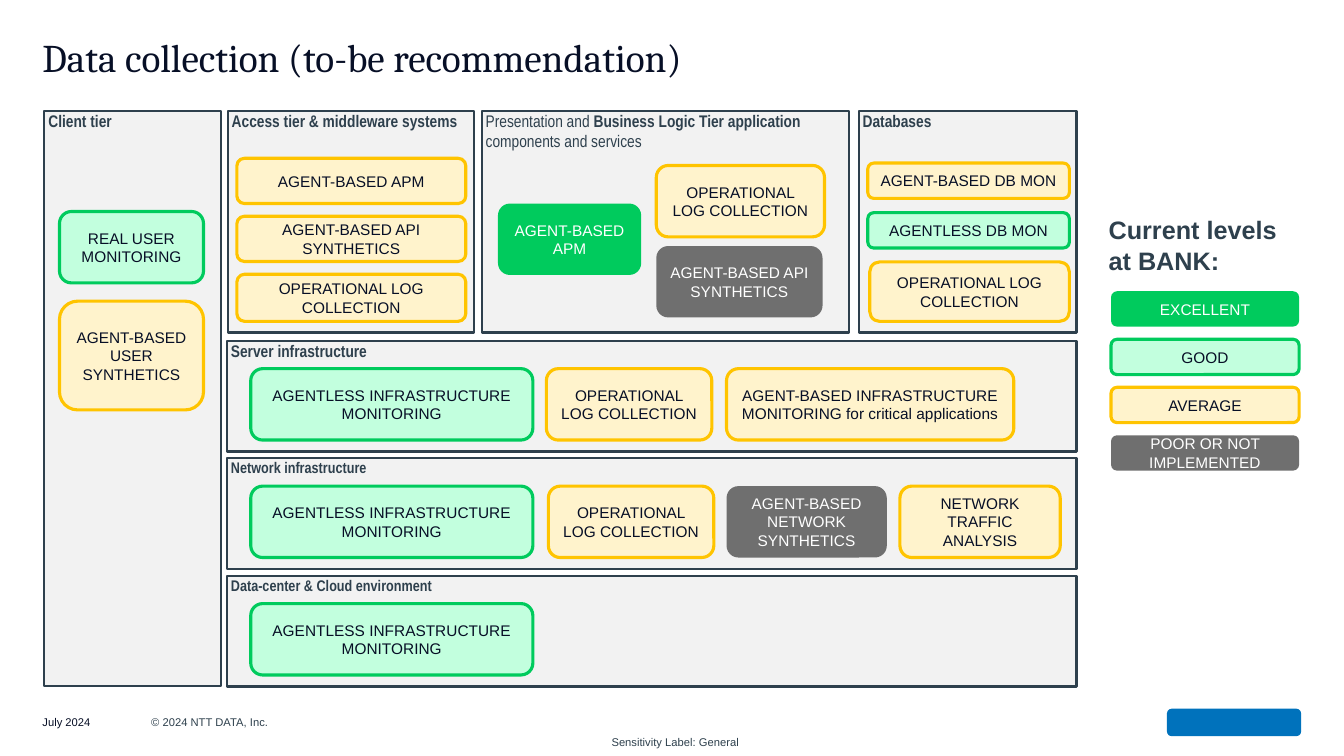
from pptx import Presentation
from pptx.dml.color import RGBColor
from pptx.enum.shapes import MSO_SHAPE
from pptx.enum.text import MSO_ANCHOR, MSO_AUTO_SIZE, PP_ALIGN
from pptx.util import Cm, Pt

NAVY = RGBColor(0x07, 0x0F, 0x26)
SLATE = RGBColor(0x2E, 0x40, 0x4D)
WHITE = RGBColor(0xFF, 0xFF, 0xFF)
PANEL_GREY = RGBColor(0xF2, 0xF2, 0xF2)
GREEN = RGBColor(0x00, 0xCB, 0x5D)
MINT = RGBColor(0xC2, 0xFF, 0xDE)
AMBER = RGBColor(0xFF, 0xC4, 0x00)
CREAM = RGBColor(0xFF, 0xF3, 0xCC)
GREY = RGBColor(0x6F, 0x6F, 0x6F)
BLUE = RGBColor(0x00, 0x72, 0xBC)

# Rating: fill, outline, text colour
LEVELS = {
    "excellent": (GREEN, None, WHITE),
    "good": (MINT, GREEN, NAVY),
    "average": (CREAM, AMBER, NAVY),
    "poor": (GREY, None, WHITE),
}

LOGS = "OPERATIONAL LOG COLLECTION"
INFRASTRUCTURE = "AGENTLESS INFRASTRUCTURE MONITORING"
API_SYNTHETICS = "AGENT-BASED API SYNTHETICS"

# Left, width, height, heading spans (text, bold)
TIERS = [
    (1.12, 4.45, 14.5, [("Client tier", True)]),
    (5.74, 6.2, 5.59, [("Access tier & middleware systems", True)]),
    (12.14, 9.25, 5.59, [("Presentation and ", False),
                         ("Business Logic Tier application ", True),
                         ("components and services", False)]),
    (21.64, 5.49, 5.59, [("Databases", True)]),
]

# Left, top, width, height, level, text
TIER_CARDS = [
    (1.5, 5.33, 3.63, 1.8, "good", "REAL USER MONITORING"),
    (1.5, 7.59, 3.63, 2.74, "average", "AGENT-BASED USER SYNTHETICS"),
    (5.97, 3.99, 5.77, 1.14, "average", "AGENT-BASED APM"),
    (5.97, 5.45, 5.77, 1.14, "average", API_SYNTHETICS),
    (5.97, 6.91, 5.77, 1.19, "average", LOGS),
    (12.55, 5.13, 3.61, 1.8, "excellent", "AGENT-BASED APM"),
    (16.54, 4.17, 4.24, 1.8, "average", LOGS),
    (16.54, 6.2, 4.19, 1.8, "poor", API_SYNTHETICS),
    (21.87, 4.11, 5.08, 0.89, "average", "AGENT-BASED DB MON"),
    (21.87, 5.36, 5.08, 0.89, "good", "AGENTLESS DB MON"),
    (21.92, 6.6, 5.03, 1.5, "average", LOGS),
]

# Heading, heading size, cards (left, width, level, text)
ROWS = [
    ("Server infrastructure", 12, [
        (6.32, 7.11, "good", INFRASTRUCTURE),
        (13.77, 4.17, "average", LOGS),
        (18.31, 7.24, "average",
         "AGENT-BASED INFRASTRUCTURE MONITORING for critical applications"),
    ]),
    ("Network infrastructure", 11, [
        (6.32, 7.11, "good", INFRASTRUCTURE),
        (13.82, 4.17, "average", LOGS),
        (18.31, 4.04, "poor", "AGENT-BASED NETWORK SYNTHETICS"),
        (22.68, 4.04, "average", "NETWORK TRAFFIC ANALYSIS"),
    ]),
    ("Data-center & Cloud environment", 11, [
        (6.32, 7.11, "good", INFRASTRUCTURE),
    ]),
]
ROW_TOP, ROW_STEP, ROW_HEIGHT = 8.59, 2.96, 2.79

LEGEND = [("excellent", "EXCELLENT"), ("good", "GOOD"),
          ("average", "AVERAGE"), ("poor", "POOR OR NOT IMPLEMENTED")]
LEGEND_TOP, LEGEND_STEP = 7.34, 1.21


class SlideBuilder:
    """Holds the text styles and the slide being filled."""

    STYLES = {
        "title": {"name": "Cambria", "size": Pt(28), "bold": False},
        "panel": {"name": "Arial Narrow"},
        "card": {"name": "Arial", "size": Pt(11)},
        "legend": {"name": "Arial", "size": Pt(18), "bold": True},
        "footer": {"name": "Arial", "size": Pt(8)},
    }

    def __init__(self, slide):
        self.slide = slide

    def set_text(self, box, spans, style, color, align=PP_ALIGN.LEFT,
                 anchor=MSO_ANCHOR.TOP, margins=(0, 0), **extra):
        """Fill a box with one paragraph of (text, format values) spans."""
        frame = box.text_frame
        side, edge = (Cm(margin) for margin in margins)
        layout = {"word_wrap": True, "auto_size": MSO_AUTO_SIZE.NONE,
                  "vertical_anchor": anchor,
                  "margin_left": side, "margin_right": side,
                  "margin_top": edge, "margin_bottom": edge}
        for name, value in layout.items():
            setattr(frame, name, value)
        para = frame.paragraphs[0]
        para.alignment = align
        for text, values in spans:
            span = para.add_run()
            span.text = text
            for name, value in {**self.STYLES[style], **extra, **values}.items():
                setattr(span.font, name, value)
            span.font.color.rgb = color
        return para

    def title(self, text, left, top, width, height):
        box = self.slide.shapes.title
        place = {"left": left, "top": top, "width": width, "height": height}
        for name, value in place.items():
            setattr(box, name, Cm(value))
        para = self.set_text(box, [(text, {})], "title", NAVY, margins=(0, 0.13))
        para.line_spacing = 0.9

    def shape(self, kind, left, top, width, height, fill, outline=None, weight=0):
        box = self.slide.shapes.add_shape(
            kind, Cm(left), Cm(top), Cm(width), Cm(height))
        box.shadow.inherit = False
        box.fill.solid()
        box.fill.fore_color.rgb = fill
        if outline is None:
            box.line.fill.background()
        else:
            box.line.color.rgb = outline
            box.line.width = Pt(weight)
        return box

    def panel(self, left, top, width, height, heading, size=12):
        box = self.shape(MSO_SHAPE.RECTANGLE, left, top, width, height,
                         PANEL_GREY, SLATE, 1.5)
        spans = [(text, {"bold": bold}) for text, bold in heading]
        self.set_text(box, spans, "panel", SLATE, margins=(0.1, 0), size=Pt(size))

    def card(self, left, top, width, height, level, text):
        fill, outline, color = LEVELS[level]
        box = self.shape(MSO_SHAPE.ROUNDED_RECTANGLE, left, top, width, height,
                         fill, outline, 2.25)
        self.set_text(box, [(text, {})], "card", color, PP_ALIGN.CENTER,
                      MSO_ANCHOR.MIDDLE, (0.25, 0.13))

    def label(self, text, left, top, width, height, style, color=SLATE, **layout):
        box = self.slide.shapes.add_textbox(
            Cm(left), Cm(top), Cm(width), Cm(height))
        self.set_text(box, [(text, {})], style, color, **layout)


def main():
    deck = Presentation()
    deck.slide_width, deck.slide_height = Cm(33.87), Cm(19.05)
    page = SlideBuilder(deck.slides.add_slide(deck.slide_layouts[5]))
    page.title("Data collection (to-be recommendation)", 1.07, 0.84, 31.75, 1.47)

    for left, width, height, heading in TIERS:
        page.panel(left, 2.79, width, height, heading)
    for card in TIER_CARDS:
        page.card(*card)

    for index, (heading, size, cards) in enumerate(ROWS):
        top = ROW_TOP + index * ROW_STEP
        page.panel(5.72, top, 21.41, ROW_HEIGHT, [(heading, True)], size)
        for left, width, level, text in cards:
            page.card(left, top + 0.7, width, 1.8, level, text)

    page.label("Current levels at BANK:", 27.69, 5.28, 5.41, 1.8, "legend",
               margins=(0.25, 0.13))
    for index, (level, text) in enumerate(LEGEND):
        page.card(28, LEGEND_TOP + index * LEGEND_STEP, 4.74, 0.89, level, text)

    page.label("July 2024", 1.07, 17.78, 2.54, 0.84, "footer", NAVY,
               anchor=MSO_ANCHOR.MIDDLE)
    page.label("© 2024 NTT DATA, Inc.", 3.81, 17.78, 11.43, 0.84, "footer",
               anchor=MSO_ANCHOR.MIDDLE)
    page.label("Sensitivity Label: General", 15.32, 18.54, 3.4, 0.33, "footer",
               align=PP_ALIGN.CENTER)
    page.shape(MSO_SHAPE.ROUNDED_RECTANGLE, 29.41, 17.86, 3.38, 0.69, BLUE)
    deck.save("out.pptx")


if __name__ == "__main__":
    main()
